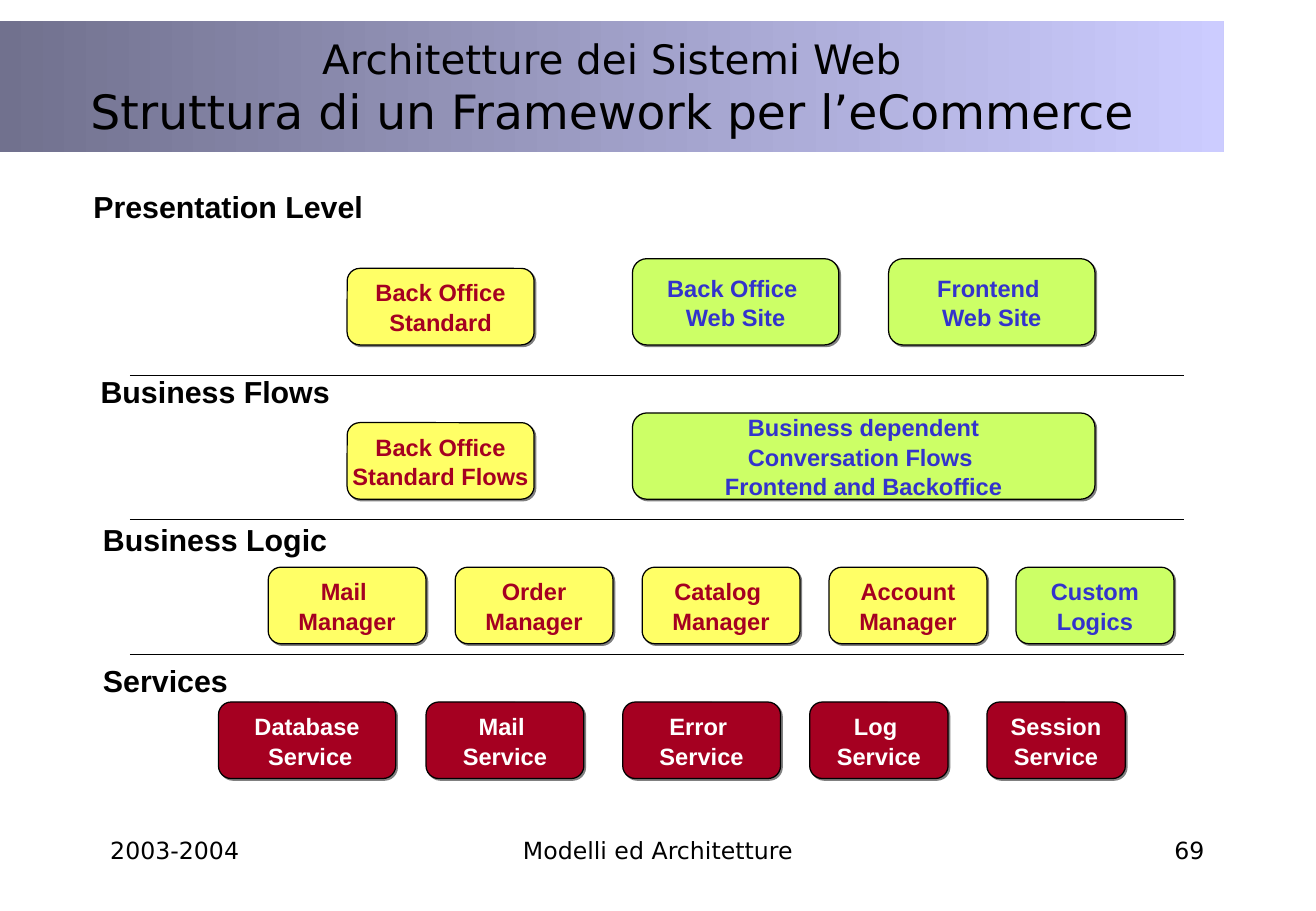
from dataclasses import dataclass

from lxml import etree
from pptx import Presentation
from pptx.dml.color import RGBColor
from pptx.enum.shapes import MSO_CONNECTOR, MSO_SHAPE
from pptx.enum.text import MSO_ANCHOR, PP_ALIGN
from pptx.oxml import parse_xml
from pptx.oxml.ns import nsdecls, qn
from pptx.util import Inches, Pt

RECT, ROUND = MSO_SHAPE.RECTANGLE, MSO_SHAPE.ROUNDED_RECTANGLE
LINE = MSO_CONNECTOR.STRAIGHT
LEFT, MID, RIGHT = PP_ALIGN.LEFT, PP_ALIGN.CENTER, PP_ALIGN.RIGHT
TOP, CENTER = MSO_ANCHOR.TOP, MSO_ANCHOR.MIDDLE


@dataclass(frozen=True)
class Theme:
    ink: str = "000000"
    dark: str = "71718E"
    light: str = "CCCCFF"
    shade: str = "808080"
    sans: str = "DejaVu Sans"
    bold: str = "Arial"
    title: tuple = (24, 28)
    label: int = 18
    body: int = 14
    edge: float = 0.75


THEME = Theme()

# Box styles: fill and text colour
CORE = ("FFFF66", "A50021")
CUSTOM = ("CCFF66", "3333CC")
SERVICE = ("A50021", "FFFFFF")

# Level labels: text, left, top
LABELS = [
    ("Presentation Level", 0.67, 1.5),
    ("Business Flows", 0.73, 3.02),
    ("Business Logic", 0.75, 4.24),
    ("Services", 0.75, 5.4),
]
RULES = [3.09, 4.28, 5.39]

# Upper boxes: lines, style, left, top, width, height
UPPER = [
    (["Back Office", "Standard"], CORE, 2.86, 2.21, 1.54, 0.63),
    (["Back Office ", "Web Site"], CUSTOM, 5.21, 2.13, 1.7, 0.71),
    (["Frontend ", "Web Site"], CUSTOM, 7.32, 2.13, 1.7, 0.71),
    (["Back Office", "Standard Flows"], CORE, 2.86, 3.48, 1.54, 0.63),
    (["Business dependent", "Conversation Flows ", "Frontend and Backoffice"],
     CUSTOM, 5.21, 3.4, 3.81, 0.71),
]
LOGICS = [
    (["Mail ", "Manager"], CORE),
    (["Order", "Manager"], CORE),
    (["Catalog ", "Manager"], CORE),
    (["Account", "Manager"], CORE),
    (["Custom", "Logics"], CUSTOM),
]
# Services: lines, left, width
SERVICES = [
    (["Database", " Service"], 1.8, 1.46),
    (["Mail ", "Service"], 3.51, 1.3),
    (["Error ", "Service"], 5.13, 1.3),
    (["Log ", "Service"], 6.67, 1.14),
    (["Session", "Service"], 8.13, 1.14),
]
# Footer: text, left, width, alignment
FOOTER = [
    ("2003-2004", 0.81, 2.26, LEFT),
    ("Modelli ed Architetture", 3.42, 4, MID),
    ("69", 7.76, 2.26, RIGHT),
]


def color(code):
    return RGBColor.from_string(code)


def apply(target, values):
    for name, value in values.items():
        setattr(target, name, value)


def write(shape, lines, sizes, font, ink=THEME.ink, bold=False, align=LEFT,
          anchor=TOP, wrap=True, space=1.0):
    frame = shape.text_frame
    apply(frame, {
        "word_wrap": wrap, "vertical_anchor": anchor,
        "margin_left": Inches(0.1), "margin_right": Inches(0.1),
        "margin_top": Inches(0.05), "margin_bottom": Inches(0.05),
    })
    for i, (line, size) in enumerate(zip(lines, sizes)):
        para = frame.add_paragraph() if i else frame.paragraphs[0]
        apply(para, {"alignment": align, "line_spacing": space})
        run = para.add_run()
        run.text = line
        apply(run.font, {"name": font, "size": Pt(size), "bold": bold})
        run.font.color.rgb = color(ink)


def add_text(slide, text, area, size, font, **style):
    box = slide.shapes.add_textbox(*map(Inches, area))
    write(box, [text], [size], font, **style)


def add_rule(slide, top):
    rule = slide.shapes.add_connector(
        LINE, Inches(1.07), Inches(top), Inches(9.75), Inches(top))
    rule.line.color.rgb = color(THEME.ink)
    rule.line.width = Pt(THEME.edge)
    etree.SubElement(rule.element.spPr, qn("a:effectLst"))


def add_shadow(shape):
    shape.shadow.inherit = False
    effects = shape.element.spPr.find(qn("a:effectLst"))
    effects.append(parse_xml(
        f'<a:outerShdw {nsdecls("a")} dist="17780" dir="2700000" algn="ctr" '
        f'rotWithShape="0"><a:srgbClr val="{THEME.shade}"/></a:outerShdw>'))


def add_box(slide, lines, style, *area):
    fill, ink = style
    box = slide.shapes.add_shape(ROUND, *map(Inches, area))
    box.fill.solid()
    box.fill.fore_color.rgb = color(fill)
    box.line.color.rgb = color(THEME.ink)
    box.line.width = Pt(THEME.edge)
    add_shadow(box)
    write(box, lines, [THEME.body] * len(lines), THEME.bold, ink=ink,
          bold=True, align=MID, anchor=CENTER, wrap=False, space=1.05)


def add_title(slide, lines):
    band = slide.shapes.add_shape(
        RECT, 0, Inches(0.17), Inches(10.08), Inches(1.08))
    band.shadow.inherit = False
    band.line.fill.background()
    band.fill.gradient()
    band.fill.gradient_angle = 0
    for stop, code in zip(band.fill.gradient_stops, (THEME.dark, THEME.light)):
        stop.color.rgb = color(code)
    write(band, lines, THEME.title, THEME.sans, align=MID, anchor=CENTER)


def main():
    deck = Presentation()
    deck.slide_width, deck.slide_height = Inches(10.84), Inches(7.5)
    slide = deck.slides.add_slide(deck.slide_layouts[6])

    # Levels
    for top in RULES:
        add_rule(slide, top)
    for text, left, top in LABELS:
        add_text(slide, text, (left, top, 2.42, 0.4), THEME.label,
                 THEME.bold, bold=True)

    # Boxes
    for item in UPPER:
        add_box(slide, *item)
    for i, (lines, style) in enumerate(LOGICS):
        add_box(slide, lines, style, 2.21 + 1.54 * i, 4.67, 1.3, 0.63)
    for lines, left, width in SERVICES:
        add_box(slide, lines, SERVICE, left, 5.78, width, 0.63)

    # Title and footer
    add_title(slide, ["Architetture dei Sistemi Web",
                      "Struttura di un Framework per l’eCommerce"])
    for text, left, width, align in FOOTER:
        add_text(slide, text, (left, 6.83, width, 0.5), THEME.body,
                 THEME.sans, align=align)

    deck.save("out.pptx")


if __name__ == "__main__":
    main()
